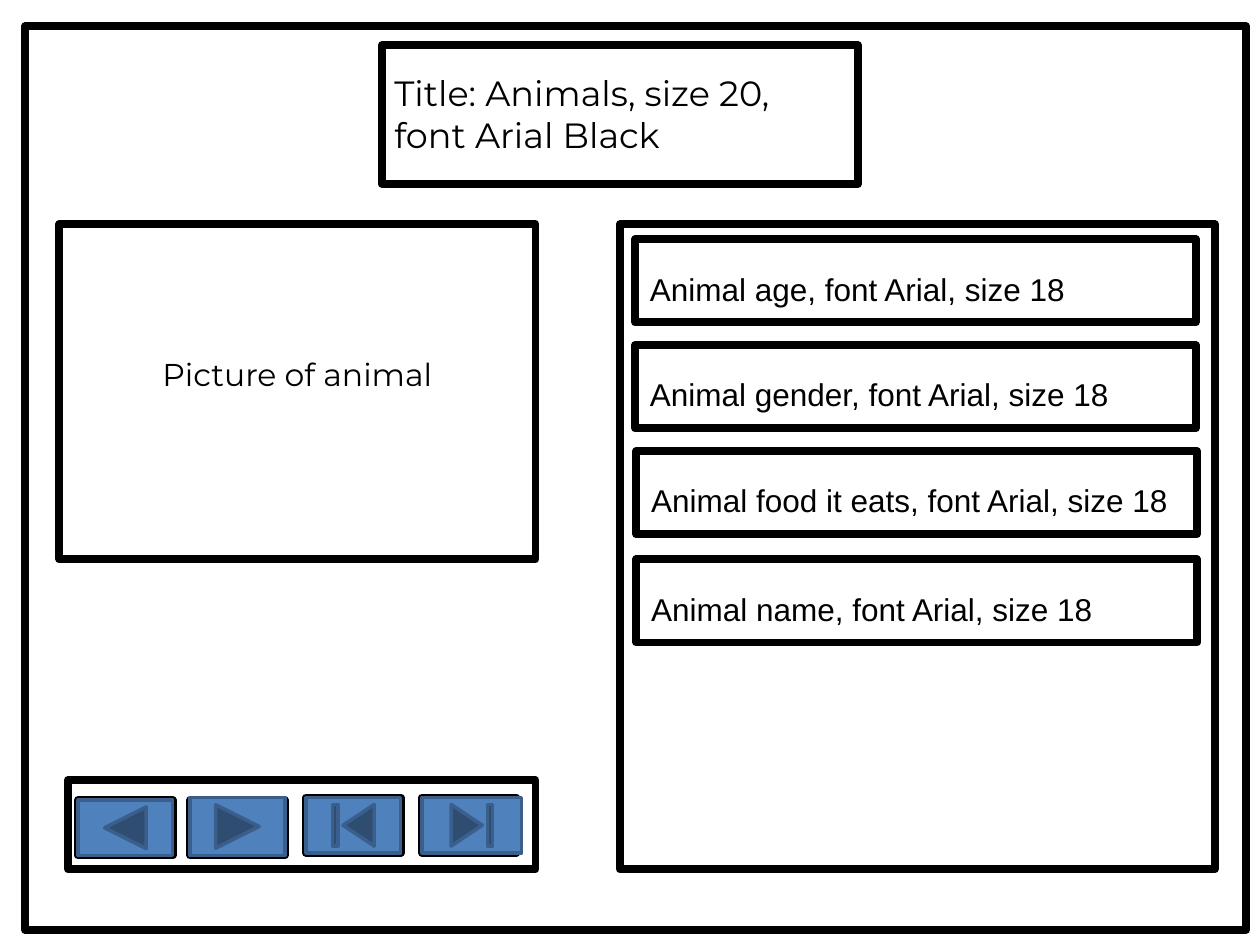
from pptx import Presentation
from pptx.dml.color import RGBColor
from pptx.enum.shapes import MSO_SHAPE as Shape
from pptx.enum.text import MSO_ANCHOR as Anchor, MSO_AUTO_SIZE as AutoSize, PP_ALIGN as Align
from pptx.util import Inches, Pt

COLORS = {"ink": "000000", "button": "4F81BD", "button_edge": "3A5F8C"}

TITLE = "Title: Animals, size 20, font Arial Black"
PICTURE_LABEL = "Picture of animal"

# Left, top, width, height in inches
PAGE_FRAME = (0.2, 0.21, 9.69, 7.17)
TITLE_FRAME = (3.03, 0.36, 3.78, 1.1)
PICTURE_FRAME = (0.47, 1.78, 3.78, 2.66)
DETAILS_FRAME = (4.92, 1.78, 4.72, 5.12)
NAVIGATION_FRAME = (0.54, 6.19, 3.71, 0.71)

# Text, left, top
DETAILS = [
    ("Animal age, font Arial, size 18", 5.04, 1.9),
    ("Animal gender, font Arial, size 18", 5.04, 2.74),
    ("Animal food it eats, font Arial, size 18", 5.05, 3.58),
    ("Animal name, font Arial, size 18", 5.05, 4.44),
]
DETAIL_SIZE = (4.45, 0.66)

# Preset, frame left and top, button top, width and height
BUTTONS = [
    (Shape.ACTION_BUTTON_BACK_OR_PREVIOUS, 0.62, 6.35, 6.35, 0.75, 0.44),
    (Shape.ACTION_BUTTON_FORWARD_OR_NEXT, 1.51, 6.35, 6.33, 0.75, 0.46),
    (Shape.ACTION_BUTTON_BEGINNING, 2.43, 6.33, 6.33, 0.75, 0.44),
    (Shape.ACTION_BUTTON_END, 3.35, 6.33, 6.33, 0.79, 0.44),
]
BUTTON_FRAME_SIZE = (0.75, 0.44)


def rgb(name):
    return RGBColor.from_string(COLORS[name])


def add_outlined(slide, preset, box, line, weight, fill=None):
    shape = slide.shapes.add_shape(preset, *map(Inches, box))
    shape.shadow.inherit = False
    if fill:
        shape.fill.solid()
        shape.fill.fore_color.rgb = rgb(fill)
    else:
        shape.fill.background()
    shape.line.color.rgb = rgb(line)
    shape.line.width = Pt(weight)


def add_frame(slide, box):
    add_outlined(slide, Shape.RECTANGLE, box, "ink", 4.5)


def write(holder, text, font, size, align=Align.LEFT):
    frame = holder.text_frame
    frame.word_wrap = True
    frame.auto_size = AutoSize.NONE
    frame.vertical_anchor = Anchor.TOP
    paragraph = frame.paragraphs[0]
    paragraph.alignment = align
    run = paragraph.add_run()
    run.text = text
    run.font.name = font
    run.font.size = Pt(size)
    run.font.color.rgb = rgb("ink")


def add_text(slide, box, *args):
    label = slide.shapes.add_textbox(*map(Inches, box))
    write(label, *args)
    return label


def main():
    deck = Presentation()
    deck.slide_width, deck.slide_height = Inches(10), Inches(7.5)
    slide = deck.slides.add_slide(deck.slide_layouts[5])

    add_frame(slide, PAGE_FRAME)
    add_frame(slide, TITLE_FRAME)
    title = slide.shapes.title
    title.left, title.top, title.width, title.height = map(Inches, (3.03, 0.52, 3.78, 0.77))
    write(title, TITLE, "Montserrat", 20)

    add_frame(slide, PICTURE_FRAME)
    label = add_text(slide, (0.59, 2.47, 3.54, 1.08),
                     PICTURE_LABEL, "Montserrat", 18, Align.CENTER)
    label.text_frame.margin_top = Inches(0.35)

    add_frame(slide, DETAILS_FRAME)
    width, height = DETAIL_SIZE
    for text, left, top in DETAILS:
        add_frame(slide, (left, top, width, height))
        add_text(slide, (left + 0.02, top + 0.19, width - 0.02, 0.4), text, "Arial", 18)

    add_frame(slide, NAVIGATION_FRAME)
    for preset, left, frame_top, button_top, width, height in BUTTONS:
        add_frame(slide, (left, frame_top, *BUTTON_FRAME_SIZE))
        add_outlined(slide, preset, (left, button_top, width, height),
                     "button_edge", 2, fill="button")

    deck.save("out.pptx")


if __name__ == "__main__":
    main()
